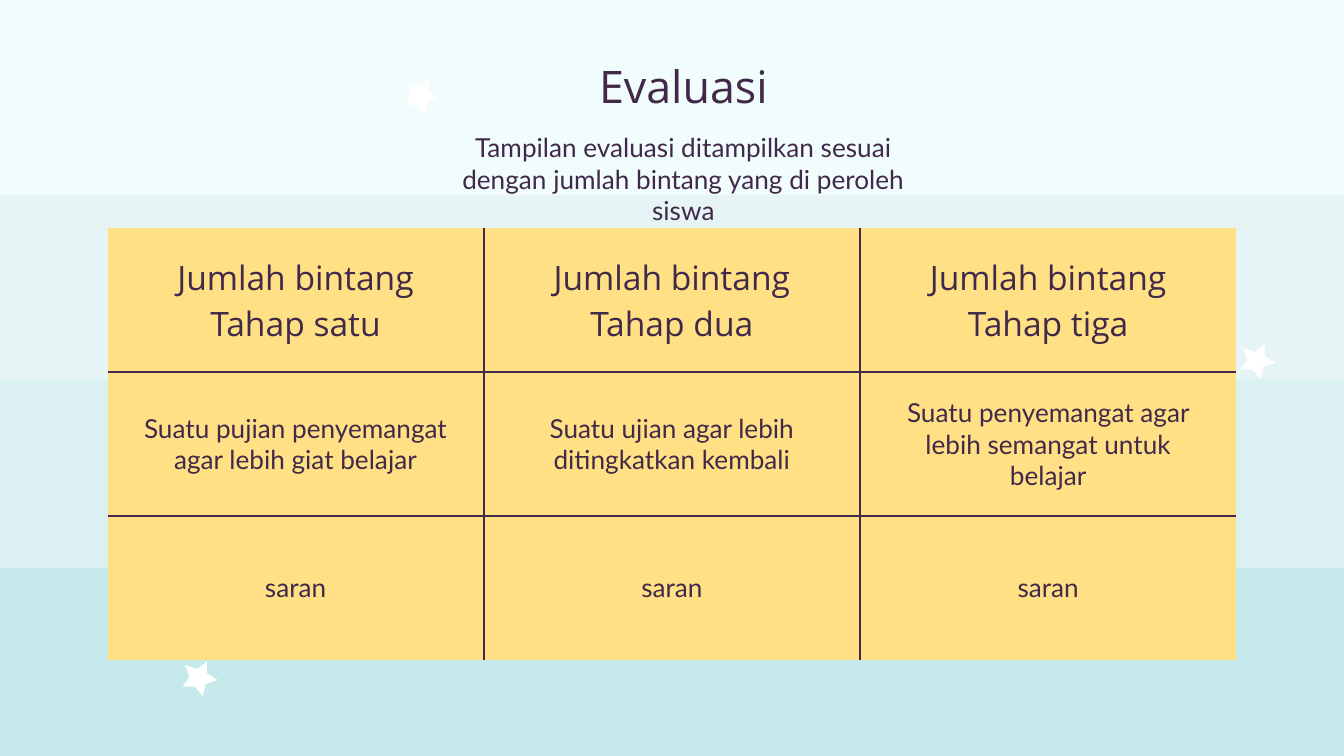
from lxml import etree
from pptx import Presentation
from pptx.dml.color import RGBColor
from pptx.enum.shapes import MSO_SHAPE
from pptx.enum.text import MSO_ANCHOR, MSO_AUTO_SIZE, PP_ALIGN
from pptx.oxml.ns import qn
from pptx.util import Inches, Pt

RECTANGLE = MSO_SHAPE.RECTANGLE
CENTER = PP_ALIGN.CENTER
TOP, MIDDLE = MSO_ANCHOR.TOP, MSO_ANCHOR.MIDDLE

COLORS = {"ink": "41294A", "cell": "FFE084", "star": "FFFFFF", "page": "E7F4F5",
          "sky": "F1FCFC", "shallow": "DBF0F1", "deep": "C6EAEB"}
HEADING_FONT, BODY_FONT = "Open Sans", "Lato"

TITLE = "Evaluasi"
SUBTITLE = "Tampilan evaluasi ditampilkan sesuai dengan jumlah bintang yang di peroleh siswa"
ROWS = [
    ["Jumlah bintang\nTahap satu", "Jumlah bintang\nTahap dua", "Jumlah bintang\nTahap tiga"],
    ["Suatu pujian penyemangat agar lebih giat belajar",
     "Suatu ujian agar lebih ditingkatkan kembali",
     "Suatu penyemangat agar lebih semangat untuk belajar"],
    ["saran"] * 3,
]
BANDS = [("shallow", 2.82, 1.44), ("deep", 4.23, 1.44), ("sky", -0.03, 1.48)]  # colour, top, height
STARS = [(1.36, 4.92), (9.23, 2.56), (3.01, 0.59)]
STAR_OUTLINE = [(0.18, 0), (0.18, 0.09), (0.26, 0.14), (0.17, 0.17), (0.15, 0.26),
                (0.09, 0.19), (0, 0.19), (0.05, 0.12), (0.02, 0.03), (0.11, 0.06)]
PAGE_WIDTH = 10
PAGE_HEIGHT = PAGE_WIDTH * 9 / 16
COLUMN_WIDTH, ROW_HEIGHT = 2.8, 1.07
TABLE_TOP = 1.7
RULE_WIDTH = 1.5


def rgb(name):
    return RGBColor.from_string(COLORS[name])


def paint(shape, color):
    shape.shadow.inherit = False
    shape.fill.solid()
    shape.fill.fore_color.rgb = rgb(color)
    shape.line.fill.background()


def write(frame, text, font, size):
    frame.text = text
    for para in frame.paragraphs:
        para.alignment = CENTER
        para.font.name = font
        para.font.size = Pt(size)
        para.font.bold = False
        para.font.color.rgb = rgb("ink")


def set_up_frame(frame):
    frame.word_wrap = True
    frame.auto_size = MSO_AUTO_SIZE.NONE
    frame.vertical_anchor = TOP
    frame.margin_left = frame.margin_right = Inches(0.1)
    frame.margin_top = frame.margin_bottom = Inches(0.1)


def rule_cell(cell, inner_sides):
    """Draw ink rules on the inner sides and clear the outer ones."""
    properties = cell._tc.get_or_add_tcPr()
    for side, is_inner in inner_sides.items():
        line = etree.SubElement(properties, qn(f"a:ln{side}"), w=str(Pt(RULE_WIDTH)))
        if is_inner:
            fill = etree.SubElement(line, qn("a:solidFill"))
            etree.SubElement(fill, qn("a:srgbClr"), val=COLORS["ink"])
        else:
            etree.SubElement(line, qn("a:noFill"))


def add_background(page):
    page.background.fill.solid()
    page.background.fill.fore_color.rgb = rgb("page")
    for color, top, height in BANDS:
        band = page.shapes.add_shape(RECTANGLE, Inches(-0.01), Inches(top),
                                     Inches(10.07), Inches(height))
        paint(band, color)
    for left, top in STARS:
        points = [(Inches(left + x), Inches(top + y)) for x, y in STAR_OUTLINE]
        builder = page.shapes.build_freeform(*points[0])
        builder.add_line_segments(points[1:], close=True)
        paint(builder.convert_to_shape(), "star")


def add_title(page):
    title = page.shapes.title
    title.left, title.top = Inches(1.35), Inches(0.34)
    title.width, title.height = Inches(7.47), Inches(0.45)
    set_up_frame(title.text_frame)
    write(title.text_frame, TITLE, HEADING_FONT, 24)
    # The placeholder comes first in the tree; lift it above the bands.
    page.shapes._spTree.append(title._element)


def add_evaluation_table(page):
    row_count, column_count = len(ROWS), len(ROWS[0])
    width = COLUMN_WIDTH * column_count
    table = page.shapes.add_table(
        row_count, column_count, Inches((PAGE_WIDTH - width) / 2), Inches(TABLE_TOP),
        Inches(width), Inches(ROW_HEIGHT * row_count)).table
    table.first_row = table.horz_banding = False
    for r, row in enumerate(ROWS):
        is_heading = r == 0
        for c, text in enumerate(row):
            cell = table.cell(r, c)
            rule_cell(cell, {"L": c > 0, "R": c < column_count - 1,
                             "T": r > 0, "B": r < row_count - 1})
            cell.fill.solid()
            cell.fill.fore_color.rgb = rgb("cell")
            cell.vertical_anchor = MIDDLE
            cell.margin_left = cell.margin_right = Inches(0.1 if is_heading else 0.2)
            cell.margin_top = cell.margin_bottom = Inches(0.1)
            write(cell.text_frame, text, HEADING_FONT if is_heading else BODY_FONT,
                  18 if is_heading else 14)


def add_subtitle(page):
    box = page.shapes.add_textbox(Inches(3.1), Inches(0.88), Inches(3.97), Inches(0.64))
    set_up_frame(box.text_frame)
    write(box.text_frame, SUBTITLE, BODY_FONT, 14)


def main():
    deck = Presentation()
    deck.slide_width, deck.slide_height = Inches(PAGE_WIDTH), Inches(PAGE_HEIGHT)
    page = deck.slides.add_slide(deck.slide_layouts.get_by_name("Title Only"))
    add_background(page)
    add_title(page)
    add_evaluation_table(page)
    add_subtitle(page)
    deck.save("out.pptx")


if __name__ == "__main__":
    main()
